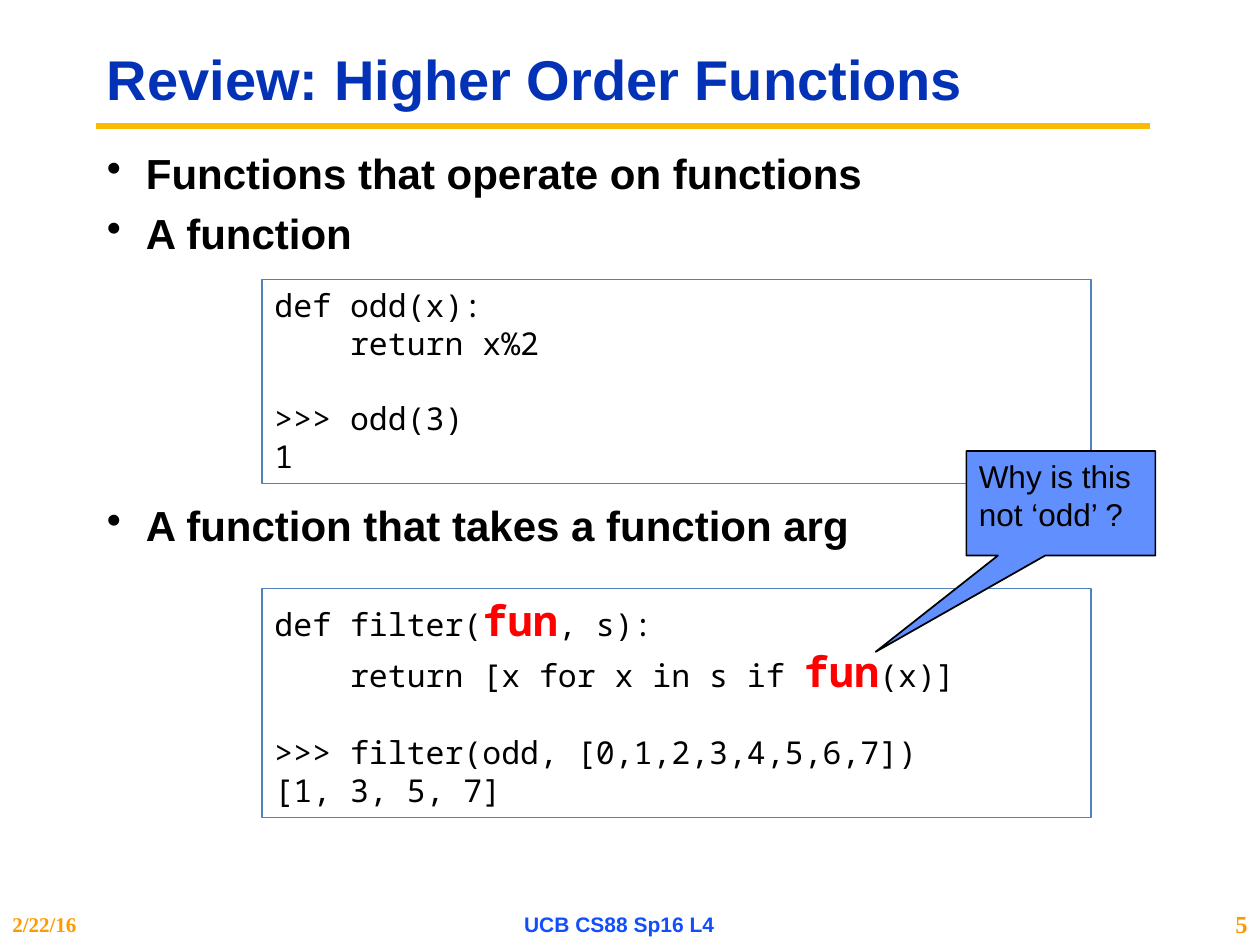
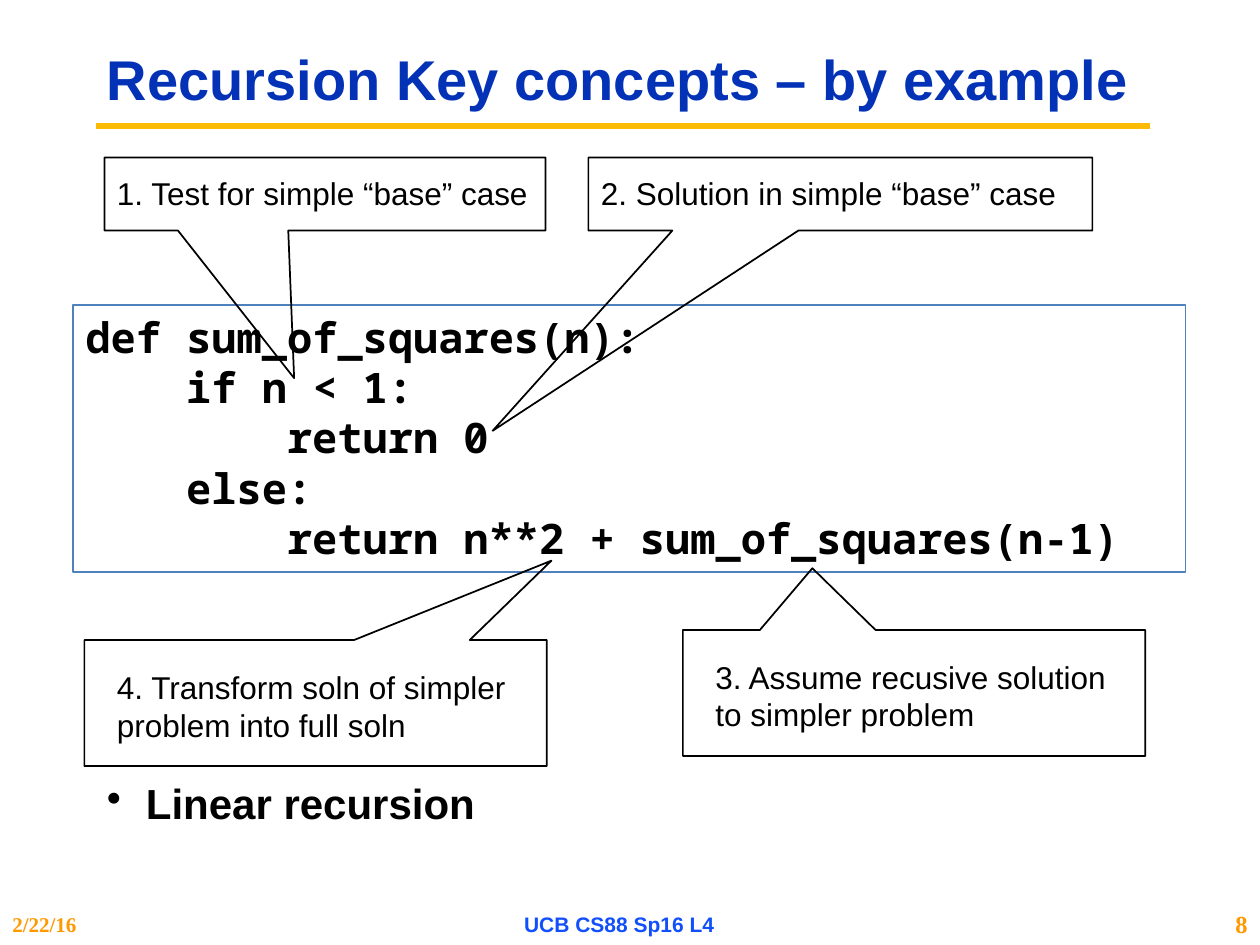
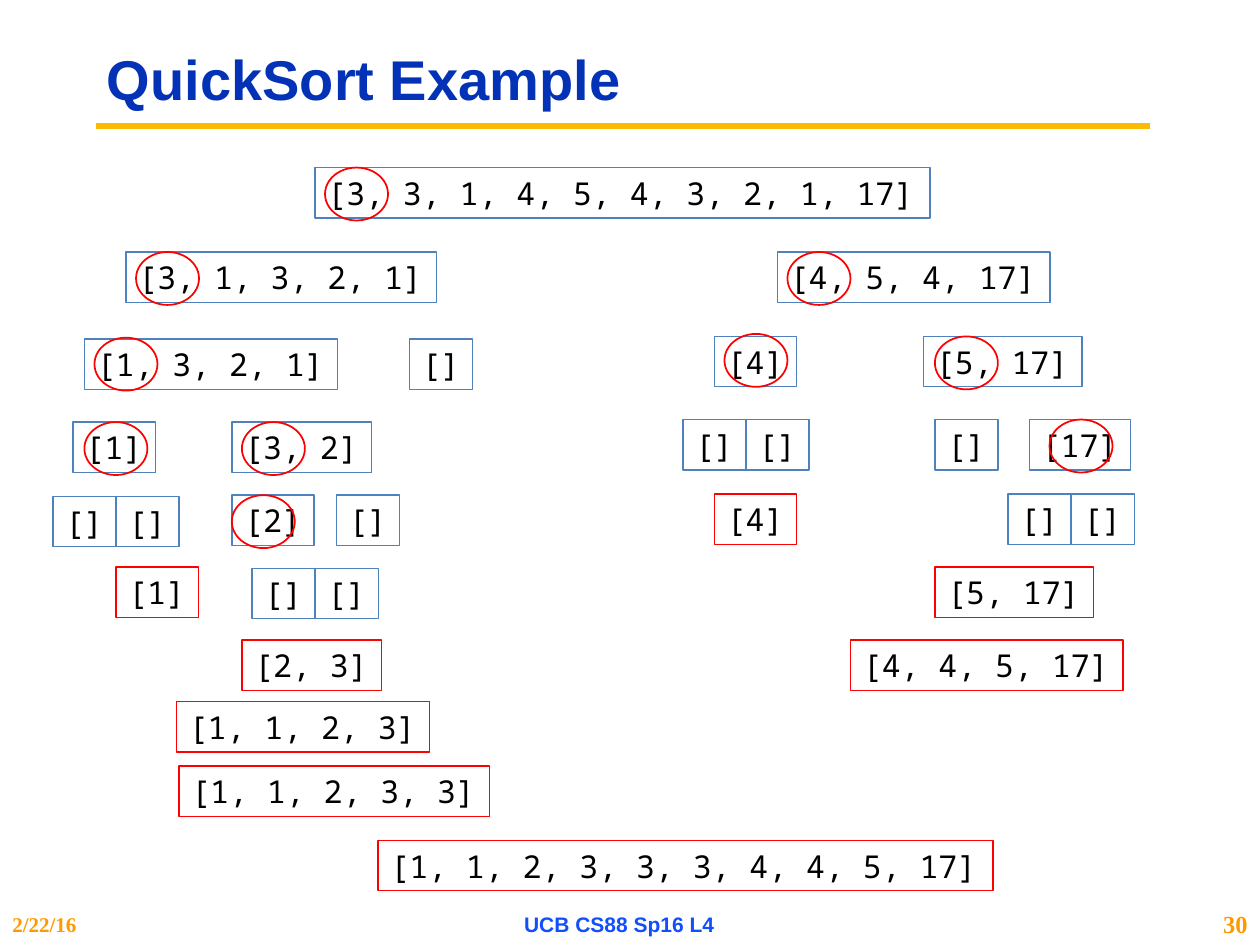
from pptx import Presentation
from pptx.dml.color import RGBColor
from pptx.enum.shapes import MSO_CONNECTOR, MSO_SHAPE
from pptx.enum.text import MSO_ANCHOR, PP_ALIGN
from pptx.oxml.ns import qn
from pptx.util import Inches, Pt
from lxml.etree import SubElement

BLACK = RGBColor(0x00, 0x00, 0x00)
RED = RGBColor(0xFF, 0x00, 0x00)
TITLE_BLUE = RGBColor(0x03, 0x32, 0xB7)
FOOTER_BLUE = RGBColor(0x11, 0x4F, 0xFB)
BOX_BLUE = RGBColor(0x4F, 0x81, 0xBD)
CALLOUT_BLUE = RGBColor(0x61, 0x8F, 0xFD)
GOLD = RGBColor(0xFB, 0xBA, 0x03)
ORANGE = RGBColor(0xFF, 0x99, 0x00)
SANS = "Arial"
SERIF = "Times New Roman"
MONO = "Noto Sans Mono"
CODE_GAP = 21.6


def write(sp, text, size=18, font=SANS, color=BLACK, bold=False,
          align=PP_ALIGN.LEFT, anchor=MSO_ANCHOR.TOP, wrap=True,
          spacing=None, bullet=False, indents={}, gaps={}):
    tf = sp.text_frame
    tf.word_wrap = wrap
    tf.vertical_anchor = anchor
    for i, line in enumerate(text.split("\n")):
        p = tf.add_paragraph() if i else tf.paragraphs[0]
        p.alignment = align
        p.line_spacing = spacing
        p.space_before = Pt(gaps.get(i, 0))
        pPr = p._p.get_or_add_pPr()
        pPr.set("marL", str(Inches(0.31 if bullet else indents.get(i, 0))))
        if bullet:
            pPr.set("indent", str(-Inches(0.31)))
            SubElement(pPr, qn("a:buChar")).set("char", "•")
        for j, part in enumerate(line.split("|")):
            accent = j % 2 == 1
            r = p.add_run()
            r.text = part
            r.font.name = font
            r.font.size = Pt(24 if accent else size)
            r.font.bold = accent or bold
            r.font.color.rgb = RED if accent else color


def draw(shapes, kind, box, line, width=1, fill=None, tip=None):
    sp = shapes.add_shape(kind, *map(Inches, box))
    sp.shadow.inherit = False
    sp.line.color.rgb = line
    sp.line.width = Pt(width)
    if fill:
        sp.fill.solid()
        sp.fill.fore_color.rgb = fill
    else:
        sp.fill.background()
    if tip:
        sp.adjustments[0], sp.adjustments[1] = tip
    return sp


prs = Presentation()
prs.slide_width = Inches(10)
prs.slide_height = Inches(7.5)

for title, number in [("Review: Higher Order Functions", "5"),
                      ("Recursion Key concepts – by example", "8"),
                      ("QuickSort Example", "30")]:
    s = prs.slides.add_slide(prs.slide_layouts[6])
    rule = s.shapes.add_connector(MSO_CONNECTOR.STRAIGHT, Inches(0.76), Inches(1),
                                  Inches(9.13), Inches(1))
    rule.line.color.rgb = GOLD
    rule.line.width = Pt(3.75)
    SubElement(rule._element.spPr, qn("a:effectLst"))
    sp = s.shapes.add_textbox(Inches(0.75), Inches(0.25), Inches(8.42), Inches(0.81))
    write(sp, title, size=32, color=TITLE_BLUE, bold=True,
          anchor=MSO_ANCHOR.MIDDLE, spacing=0.9)
    for left, width, text, size, font, color, align in [
            (0, 1.67, "2/22/16", 12, SERIF, ORANGE, PP_ALIGN.LEFT),
            (3.33, 3.17, "UCB CS88 Sp16 L4", 12, SANS, FOOTER_BLUE, PP_ALIGN.CENTER),
            (9.42, 0.58, number, 14, SERIF, ORANGE, PP_ALIGN.RIGHT)]:
        sp = s.shapes.add_textbox(Inches(left), Inches(7.17), Inches(width), Inches(0.33))
        write(sp, text, size=size, font=font, color=color, bold=True,
              align=align, anchor=MSO_ANCHOR.MIDDLE)

review, recursion, quicksort = prs.slides

sp = review.shapes.add_textbox(Inches(0.75), Inches(1.17), Inches(8.33), Inches(0.5))
write(sp, "Functions that operate on functions\nA function\n"
          "A function that takes a function arg",
      size=24, bold=True, spacing=0.9, bullet=True, gaps={1: 8.3, 2: 140.8})
for top, height, code in [
        (2.22, 1.62, "def odd(x):\nreturn x%2\n>>> odd(3)\n1"),
        (4.67, 1.82, "def filter(|fun|, s):\nreturn [x for x in s if |fun|(x)]\n"
                     ">>> filter(odd, [0,1,2,3,4,5,6,7])\n[1, 3, 5, 7]")]:
    sp = draw(review.shapes, MSO_SHAPE.RECTANGLE, (2.08, top, 6.58, height), BOX_BLUE, 0.75)
    write(sp, code, font=MONO, indents={1: 0.6}, gaps={2: CODE_GAP})
sp = draw(review.shapes, MSO_SHAPE.RECTANGULAR_CALLOUT, (7.67, 3.58, 1.5, 0.83), BLACK,
          fill=CALLOUT_BLUE, tip=(-0.98, 1.42))
write(sp, "Why is this not ‘odd’ ?")

sp = recursion.shapes.add_textbox(Inches(0.75), Inches(6.17), Inches(8.33), Inches(0.75))
write(sp, "Linear recursion", size=24, bold=True, spacing=0.9, bullet=True)
sp = draw(recursion.shapes, MSO_SHAPE.RECTANGLE, (0.58, 2.42, 8.83, 2.12), BOX_BLUE, 0.75)
write(sp, "def sum_of_squares(n):\nif n < 1:\nreturn 0\nelse:\n"
          "return n**2 + sum_of_squares(n-1)",
      size=24, font=MONO, bold=True, indents={1: 0.8, 2: 1.6, 3: 0.8, 4: 1.6})
for box, tip, label, text in [
        ((0.83, 1.25, 3.5, 0.58), (-0.07, 2.52), (0.83, 1.33, 3.49, 0.4),
         "1. Test for simple “base” case"),
        ((4.67, 1.25, 4, 0.58), (-0.69, 3.24), (4.67, 1.33, 3.85, 0.4),
         "2. Solution in simple “base” case"),
        ((5.42, 5, 3.67, 1), (-0.22, -0.99), (5.58, 5.17, 3.33, 0.71),
         "3. Assume recusive solution to simpler problem"),
        ((0.67, 5.08, 3.67, 1), (0.51, -1.13), (0.83, 5.25, 3.33, 0.71),
         "4. Transform soln of simpler problem into full soln")]:
    group = recursion.shapes.add_group_shape()
    draw(group.shapes, MSO_SHAPE.RECTANGULAR_CALLOUT, box, BLACK, tip=tip)
    sp = group.shapes.add_textbox(*map(Inches, label))
    write(sp, text)

split_lists = [
    (2.5, 1.33, "[3, 3, 1, 4, 5, 4, 3, 2, 1, 17]"),
    (1, 2, "[3, 1, 3, 2, 1]"), (6.17, 2, "[4, 5, 4, 17]"),
    (0.67, 2.69, "[1, 3, 2, 1]"), (3.25, 2.69, "[]"),
    (5.67, 2.67, "[4]"), (7.33, 2.67, "[5, 17]"),
    (0.58, 3.35, "[1]"), (1.84, 3.35, "[3, 2]"),
    (5.42, 3.33, "[]"), (5.92, 3.33, "[]"), (7.42, 3.33, "[]"), (8.17, 3.33, "[17]"),
    (0.42, 3.94, "[]"), (0.92, 3.94, "[]"), (1.84, 3.93, "[2]"), (2.67, 3.93, "[]"),
    (8, 3.92, "[]"), (8.5, 3.92, "[]"),
    (2, 4.51, "[]"), (2.5, 4.51, "[]"),
]
merged_lists = [
    (5.67, 3.92, "[4]"), (0.92, 4.5, "[1]"), (7.42, 4.5, "[5, 17]"),
    (1.92, 5.08, "[2, 3]"), (6.75, 5.08, "[4, 4, 5, 17]"),
    (1.4, 5.57, "[1, 1, 2, 3]"), (1.42, 6.08, "[1, 1, 2, 3, 3]"),
    (3, 6.67, "[1, 1, 2, 3, 3, 3, 4, 4, 5, 17]"),
]
pivots = [(2.58, 1.33), (1.08, 2), (6.25, 2), (0.75, 2.68), (5.75, 2.65), (7.42, 2.67),
          (0.67, 3.35), (1.92, 3.35), (8.33, 3.33), (1.84, 3.93)]
for lists, color in [(split_lists, BOX_BLUE), (merged_lists, RED)]:
    for left, top, text in lists:
        width = 0.2 + 0.15 * len(text) + 0.001 * len(text)
        sp = draw(quicksort.shapes, MSO_SHAPE.RECTANGLE, (left, top, width, 0.4), color, 0.75)
        write(sp, text, font=MONO, wrap=False)
for left, top in pivots:
    draw(quicksort.shapes, MSO_SHAPE.OVAL, (left, top, 0.5, 0.42), RED)

prs.save("out.pptx")
